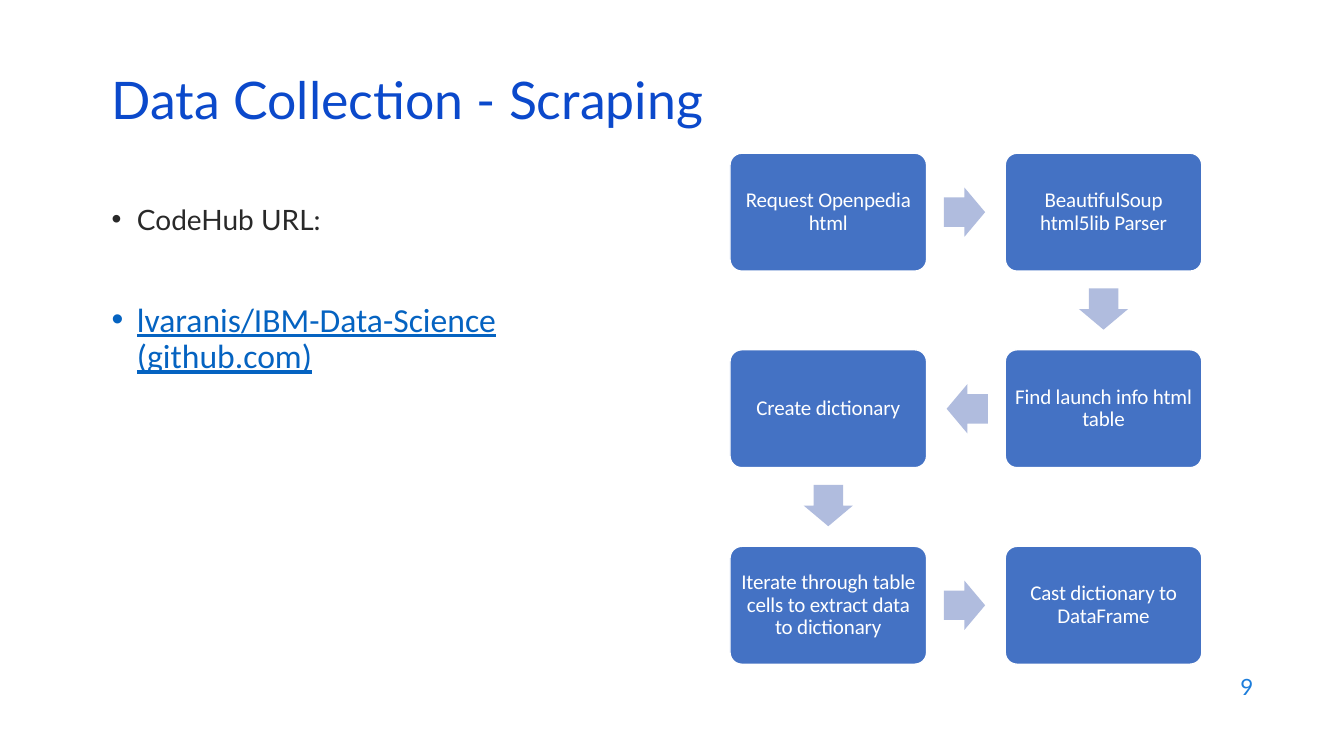
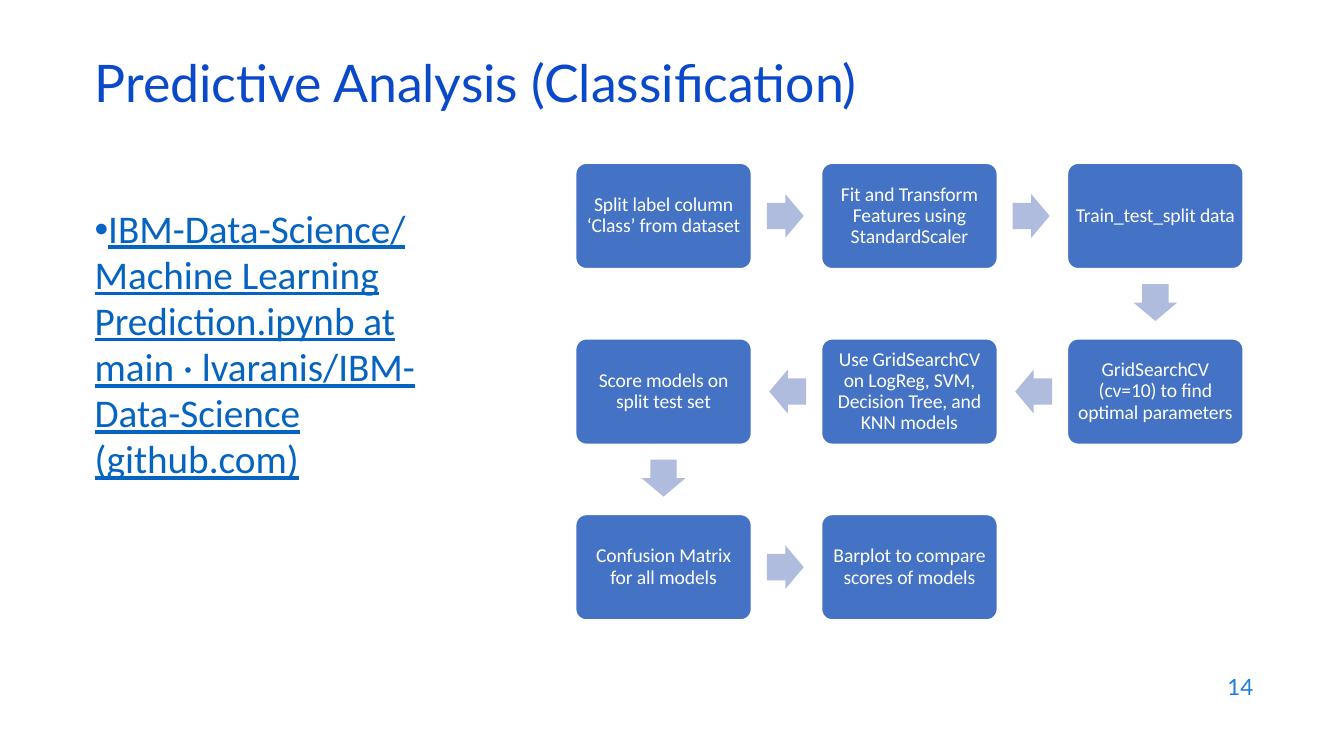
import lxml.etree
import pptx
import pptx.dml.color
import pptx.enum.shapes
import pptx.enum.text
import pptx.oxml.ns
import pptx.util

Color = pptx.dml.color.RGBColor
Shape = pptx.enum.shapes.MSO_SHAPE
Align = pptx.enum.text.PP_ALIGN
Anchor = pptx.enum.text.MSO_ANCHOR
Fit = pptx.enum.text.MSO_AUTO_SIZE
Pt = pptx.util.Pt

SCALE = 9144
WHITE = Color(0xFF, 0xFF, 0xFF)
BLUE = Color(0x0B, 0x49, 0xCB)
SKY = Color(0x1C, 0x7D, 0xDB)
INK = Color(0x29, 0x29, 0x29)
LINK = Color(0x05, 0x63, 0xC1)
CARD = Color(0x44, 0x72, 0xC4)
ARROW = Color(0xB0, 0xBC, 0xDE)

HEAD = {"name": "Lato", "size": Pt(37), "bold": False}
PAGE = {"name": "Lato", "size": Pt(16)}
NOTE = {"name": "Lato", "size": Pt(20)}
FRAME = {"word_wrap": True, "auto_size": Fit.NONE}
MIDDLE = {**FRAME, "vertical_anchor": Anchor.MIDDLE}


def px(num):
    """Turn px into EMU."""
    return pptx.util.Emu(round(num * SCALE))


def style(item, vals):
    """Set attributes from a dict."""
    for key, val in vals.items():
        setattr(item, key, val)


def write(para, text, font, color, form):
    """Put one styled run in a paragraph."""
    style(para, form)
    run = para.add_run()
    run.text = text
    style(run.font, font)
    run.font.color.rgb = color
    return run


def dot(para, hang):
    """Give a paragraph a bullet with a hanging indent."""
    props = para._p.get_or_add_pPr()
    props.set("marL", str(px(hang)))
    props.set("indent", str(-px(hang)))
    for tag, key, val in (("a:buFont", "typeface", "Arial"), ("a:buChar", "char", "•")):
        lxml.etree.SubElement(props, pptx.oxml.ns.qn(tag)).set(key, val)


def title(slide, box, text):
    """Place the slide title."""
    head = slide.shapes.title
    style(head, dict(zip(("left", "top", "width", "height"), map(px, box))))
    style(head.text_frame, MIDDLE)
    form = {"alignment": Align.LEFT, "line_spacing": 0.7}
    write(head.text_frame.paragraphs[0], text, HEAD, BLUE, form)


def number(slide, box, text):
    """Place the page number."""
    frame = slide.shapes.add_textbox(*map(px, box)).text_frame
    style(frame, MIDDLE)
    write(frame.paragraphs[0], text, PAGE, SKY, {"alignment": Align.RIGHT})


def notes(slide, box, items, hang):
    """Place the bulleted text at the left."""
    frame = slide.shapes.add_textbox(*map(px, box)).text_frame
    style(frame, FRAME)
    for pos, (text, font, color, form) in enumerate(items):
        para = frame.add_paragraph() if pos else frame.paragraphs[0]
        write(para, text, font, color, form)
        dot(para, hang)


def block(slide, kind, mid, size, fill):
    """Add a plain filled shape around a centre."""
    (x, y), (wide, high) = mid, size
    box = (x - wide / 2, y - high / 2, wide, high)
    shape = slide.shapes.add_shape(kind, *map(px, box))
    shape.shadow.inherit = False
    shape.fill.solid()
    shape.fill.fore_color.rgb = fill
    return shape


def card(slide, mid, size, text, pts):
    """Add one step of the flow."""
    shape = block(slide, Shape.ROUNDED_RECTANGLE, mid, size, CARD)
    shape.adjustments[0] = 0.1
    shape.line.color.rgb = WHITE
    shape.line.width = Pt(1)
    sides = ("left", "top", "right", "bottom")
    style(shape.text_frame, {**MIDDLE, **{f"margin_{side}": px(5) for side in sides}})
    form = {"alignment": Align.CENTER, "line_spacing": 0.9}
    font = {"name": "Calibri", "size": Pt(pts)}
    run = write(shape.text_frame.paragraphs[0], text, font, WHITE, form)
    run._r.get_or_add_rPr().set("spc", "-10")


def arrow(slide, start, end, unit):
    """Add a block arrow between two steps."""
    dx, dy = ((b > a) - (b < a) for a, b in zip(start, end))
    back = 0.007 * unit
    mid = ((start[0] + end[0]) / 2 - back * dx, (start[1] + end[1]) / 2 - back * dy)
    shape = block(slide, Shape.RIGHT_ARROW, mid, (0.21 * unit, 0.25 * unit), ARROW)
    shape.adjustments[0] = 0.6
    shape.line.fill.background()
    shape.rotation = 90 if dy else 90 * (1 - dx)


def flow(slide, box, cols, steps, pts):
    """Lay out steps in rows that turn back at each end."""
    left, top, width = box
    unit = width / (1.4 * cols - 0.4)
    size = (unit, 0.6 * unit)
    mids = []
    for pos in range(len(steps)):
        row, col = divmod(pos, cols)
        col = cols - 1 - col if row % 2 else col
        mids.append((left + unit * (0.5 + 1.4 * col), top + unit * (0.3 + row)))
    for mid, text in zip(mids, steps):
        card(slide, mid, size, text, pts)
    for start, end in zip(mids, mids[1:]):
        arrow(slide, start, end, unit)


def link(pts, form):
    """Give the format of a link line."""
    return {"name": "Calibri", "size": Pt(pts), "underline": True}, LINK, form


def page(deck, spec):
    """Build one slide from its content."""
    slide = deck.slides.add_slide(deck.slide_layouts[5])
    title(slide, *spec["title"])
    number(slide, (953, 659, 300, 44), spec["page"])
    notes(slide, *spec["notes"])
    flow(slide, *spec["flow"])


PAGES = (
    {
        "title": ((101, 76, 1150, 60), "Data Collection - Scraping"),
        "page": "9",
        "notes": (
            (101, 196, 430, 417),
            (
                ("CodeHub URL:", NOTE, INK, {}),
                (
                    "lvaranis/IBM-Data-Science (github.com)",
                    *link(24, {"line_spacing": 0.9, "space_before": Pt(48)}),
                ),
            ),
            25,
        ),
        "flow": (
            (724, 152, 468),
            2,
            (
                "Request Openpedia html",
                "BeautifulSoup html5lib Parser",
                "Find launch info html table",
                "Create dictionary",
                "Iterate through table cells to extract data to dictionary",
                "Cast dictionary to DataFrame",
            ),
            15,
        ),
    },
    {
        "title": ((84, 59, 1150, 60), "Predictive Analysis (Classification)"),
        "page": "14",
        "notes": (
            (84, 200, 363, 476),
            (
                (
                    "IBM-Data-Science/Machine Learning Prediction.ipynb at main"
                    " · lvaranis/IBM-Data-Science (github.com)",
                    *link(28, {"line_spacing": 0.98}),
                ),
            ),
            0,
        ),
        "flow": (
            (571, 162, 662),
            3,
            (
                "Split label column ‘Class’ from dataset",
                "Fit and Transform Features using StandardScaler",
                "Train_test_split data",
                "GridSearchCV (cv=10) to find optimal parameters",
                "Use GridSearchCV on LogReg, SVM, Decision Tree, and KNN models",
                "Score models on split test set",
                "Confusion Matrix for all models",
                "Barplot to compare scores of models",
            ),
            14,
        ),
    },
)


def main():
    """Build and save the deck."""
    deck = pptx.Presentation()
    style(deck, {"slide_width": px(1333), "slide_height": px(750)})
    for spec in PAGES:
        page(deck, spec)
    deck.save("out.pptx")


if __name__ == "__main__":
    main()
